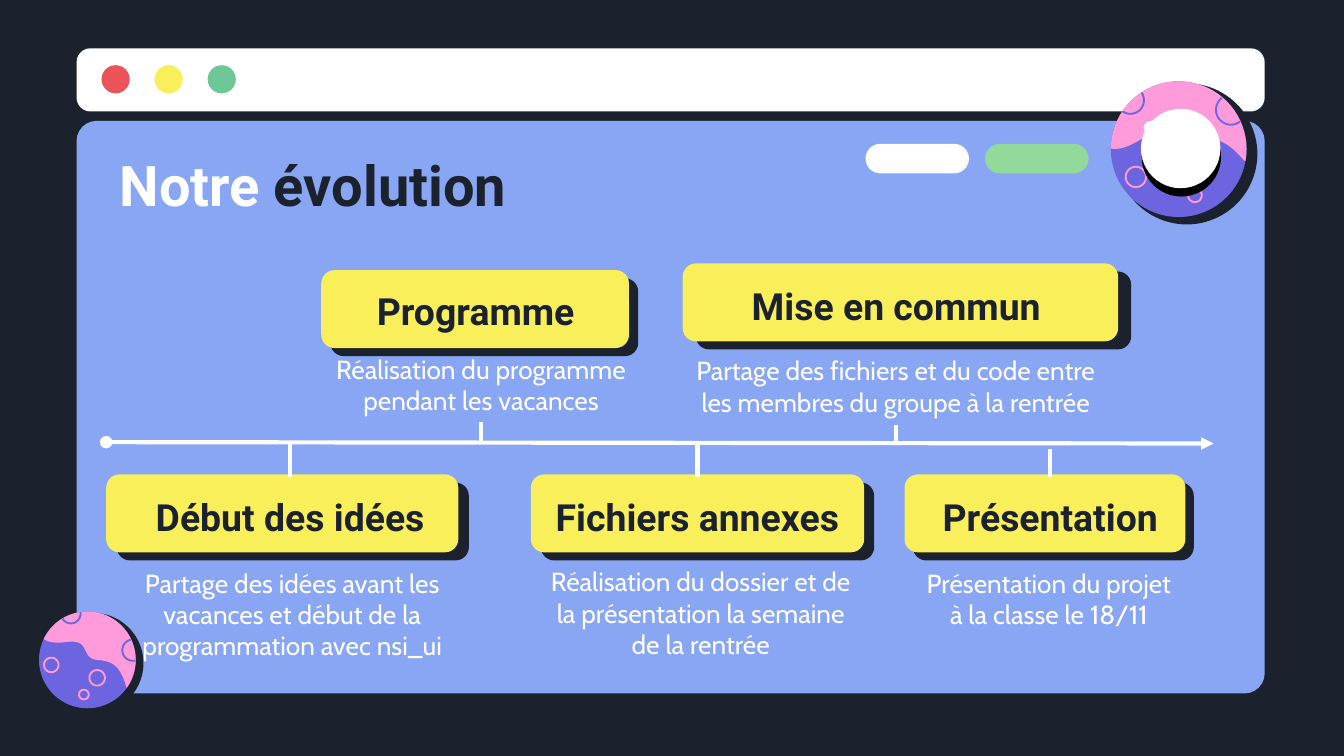
from math import atan2, cos, radians, sin

from lxml import etree
from pptx import Presentation
from pptx.dml.color import RGBColor
from pptx.enum.shapes import MSO_CONNECTOR as CONN, MSO_SHAPE as SHAPE
from pptx.enum.text import MSO_ANCHOR as ANCHOR, MSO_AUTO_SIZE as AUTO, PP_ALIGN as ALIGN
from pptx.oxml.ns import qn
from pptx.util import Inches, Pt

COLS = 10
ROWS = COLS * 9 / 16
NAVY, WHITE, BLUE, YELLOW = "1B222D", "FFFFFF", "88A6F3", "F8EF5B"
RED, GREEN, LIME, PURPLE, PINK = "EB5358", "6DC797", "92D99C", "6D65E0", "FF9BDA"
CARD_H, AXIS_Y = 0.58, 3.29

STEPS = [
    ("Présentation", "Présentation du projet à la classe le 18/11",
     (6.73, 3.53, 2.09), (6.77, 3.55, 2.09), (6.75, 4.12, 2.11, 0.83), 3.34),
    ("Fichiers annexes",
     "Réalisation du dossier et de la présentation la semaine de la rentrée",
     (3.95, 3.53, 2.48), (3.88, 3.55, 2.62), (3.95, 4.11, 2.53, 0.83), AXIS_Y),
    ("Début des idées",
     "Partage des idées avant les vacances et début de la programmation avec nsi_ui",
     (0.79, 3.53, 2.62), (0.84, 3.55, 2.64), (0.95, 4.12, 2.45, 0.83), 3.3),
    ("Programme", "Réalisation du programme pendant les vacances",
     (2.39, 2.01, 2.29), (2.51, 2.02, 2.06), (2.4, 2.53, 2.36, 0.61), AXIS_Y),
    ("Mise en commun",
     "Partage des fichiers et du code entre les membres du groupe à la rentrée",
     (5.08, 1.96, 3.24), (5.05, 1.98, 3.24), (5.02, 2.54, 3.29, 0.62), AXIS_Y),
]

WAVE = [
    ((0.97, 0.17), (0.69, -0.15), (0.51, -0.21), (0.2, -0.09)),
    ((0.2, -0.09), (-0.16, 0.05), (-0.1, -0.45), (-0.55, -0.15)),
    ((-0.55, -0.15), (-0.77, -0.01), (-0.91, 0.01), (-1, -0.01)),
]
CRATERS = [
    (-0.71, -0.72, 0.2, PURPLE), (0.77, -0.58, 0.22, PURPLE),
    (-0.63, 0.41, 0.15, PINK), (0.34, 0.25, 0.16, PINK), (0.24, 0.68, 0.1, PINK),
]


def rgb(color):
    """Turn a hex string into a colour."""
    return RGBColor.from_string(color)


def bezier(a, b, c, d, n=12):
    """Return points along a cubic curve."""
    return [tuple((1 - t) ** 3 * p + 3 * (1 - t) ** 2 * t * q
                  + 3 * (1 - t) * t ** 2 * u + t ** 3 * v
                  for p, q, u, v in zip(a, b, c, d))
            for t in (i / n for i in range(n + 1))]


class Deck:
    """Hold the style and the current slide, measured in grid columns and rows."""

    def __init__(self):
        """Open a title-only slide on a dark background."""
        self.prs = Presentation()
        self.prs.slide_width, self.prs.slide_height = Inches(COLS), Inches(ROWS)
        self.col, self.row = self.prs.slide_width / COLS, self.prs.slide_height / ROWS
        self.s = self.prs.slides.add_slide(self.prs.slide_layouts[5])
        self.s.background.fill.solid()
        self.s.background.fill.fore_color.rgb = rgb(NAVY)

    def x(self, cols):
        """Convert columns to a length."""
        return round(cols * self.col)

    def y(self, rows):
        """Convert rows to a length."""
        return round(rows * self.row)

    def box(self, x, y, w, h):
        """Convert a grid box to lengths."""
        return self.x(x), self.y(y), self.x(w), self.y(h)

    def shape(self, kind, at, color, adj=None):
        """Add a plain filled shape."""
        sp = self.s.shapes.add_shape(kind, *self.box(*at))
        sp.shadow.inherit = False
        sp.fill.solid()
        sp.fill.fore_color.rgb = rgb(color)
        sp.line.fill.background()
        if adj is not None:
            sp.adjustments[0] = adj
        return sp

    def disc(self, cx, cy, r, color):
        """Add a filled circle around a centre."""
        return self.shape(SHAPE.OVAL, (cx - r, cy - r, 2 * r, 2 * r), color)

    def outline(self, points, fill=None, line=None):
        """Add a filled area or an open stroke through points."""
        pts = [(self.x(x), self.y(y)) for x, y in points]
        fb = self.s.shapes.build_freeform(*pts[0])
        fb.add_line_segments(pts[1:], close=fill is not None)
        sp = fb.convert_to_shape()
        sp.shadow.inherit = False
        if fill:
            sp.fill.solid()
            sp.fill.fore_color.rgb = rgb(fill)
            sp.line.fill.background()
        else:
            sp.fill.background()
            sp.line.color.rgb = rgb(line)
            sp.line.width = Pt(1)

    def planet(self, cx, cy, r, turn):
        """Add a cratered planet turned by some degrees, with its hard shadow."""
        ct, st = cos(radians(turn)), sin(radians(turn))

        def place(points):
            return [(cx + r * (x * ct - y * st), cy + r * (x * st + y * ct))
                    for x, y in points]

        self.disc(cx + 0.12 * r, cy + 0.07 * r, 1.04 * r, NAVY)
        self.disc(cx, cy, r, PURPLE)
        arc = [(cos(radians(a)), sin(radians(a))) for a in range(180, 371, 5)]
        self.outline(place(arc + [p for c in WAVE for p in bezier(*c)]), fill=PINK)
        for x, y, cr, color in CRATERS:
            start = atan2(y, x)
            ring = [(x + cr * cos(start + radians(a)), y + cr * sin(start + radians(a)))
                    for a in range(0, 361, 10)]
            self.outline(place([p for p in ring if p[0] ** 2 + p[1] ** 2 <= 1]), line=color)

    def font(self, r, name, size, color, bold=False):
        """Format a run."""
        r.font.name, r.font.size, r.font.bold = name, Pt(size), bold
        r.font.color.rgb = rgb(color)

    def frame(self, sp, anchor):
        """Give a text frame its wrap, anchor and insets."""
        tf = sp.text_frame
        tf.word_wrap, tf.auto_size, tf.vertical_anchor = True, AUTO.NONE, anchor
        tf.margin_left = tf.margin_right = tf.margin_top = tf.margin_bottom = Inches(0.1)
        return tf

    def title(self, at, parts):
        """Move the title to the front and fill it with coloured parts."""
        sp = self.s.shapes.title
        self.s.shapes._spTree.append(sp._element)
        sp.left, sp.top, sp.width, sp.height = self.box(*at)
        p = self.frame(sp, ANCHOR.MIDDLE).paragraphs[0]
        p.alignment = ALIGN.LEFT
        for text, color in parts:
            r = p.add_run()
            r.text = text
            self.font(r, "Roboto", 30, color, True)

    def text(self, at, text, anchor, *style):
        """Add a centred text box."""
        sp = self.s.shapes.add_textbox(*self.box(*at))
        p = self.frame(sp, anchor).paragraphs[0]
        p.text, p.alignment = text, ALIGN.CENTER
        self.font(p.runs[0], *style)
        return sp

    def line(self, x1, y1, x2, y2, **ends):
        """Add a white line, with optional headEnd and tailEnd."""
        c = self.s.shapes.add_connector(
            CONN.STRAIGHT, self.x(x1), self.y(y1), self.x(x2), self.y(y2))
        c.line.color.rgb, c.line.width = rgb(WHITE), Pt(2.25)
        pr = c._element.spPr
        for tag, kind in ends.items():
            etree.SubElement(pr.find(qn("a:ln")), qn(f"a:{tag}"), type=kind)
        etree.SubElement(pr, qn("a:effectLst"))
        return c

    def hole(self, at):
        """Add the white disc with its hard black shadow."""
        sp = self.shape(SHAPE.OVAL, at, WHITE)
        sp.line.color.rgb, sp.line.width = rgb(WHITE), Pt(1.5)
        shadow = etree.SubElement(sp._element.spPr.find(qn("a:effectLst")), qn("a:outerShdw"),
                                  dist=str(Pt(4.5)), dir=str(85 * 60000), algn="bl",
                                  rotWithShape="0")
        etree.SubElement(shadow, qn("a:srgbClr"), val="000000")


def main():
    """Build the timeline slide."""
    d = Deck()
    d.shape(SHAPE.ROUNDED_RECTANGLE, (0.57, 0.9, 8.84, 4.26), BLUE, 0.035)
    d.shape(SHAPE.ROUNDED_RECTANGLE, (0.57, 0.36, 8.84, 0.47), WHITE, 0.22)
    for i, color in enumerate((RED, YELLOW, GREEN)):
        d.disc(0.86 + 0.395 * i, 0.59, 0.105, color)
    for x, color in ((6.44, WHITE), (7.33, LIME)):
        d.shape(SHAPE.ROUNDED_RECTANGLE, (x, 1.07, 0.77, 0.22), color, 0.5)
    d.planet(8.77, 1.11, 0.505, 0)
    d.planet(0.65, 4.91, 0.36, 25)

    for _, _, (x, y, w), _, _, _ in STEPS:
        for dx, dy, color in ((0.03 * w, 0.06, NAVY), (0, 0, YELLOW)):
            d.shape(SHAPE.ROUNDED_RECTANGLE, (x + dx, y + dy, w, CARD_H), color, 0.17)
    d.title((0.79, 1.06, 8.43, 0.62), (("Notre ", WHITE), ("évolution", NAVY)))
    d.line(0.79, AXIS_Y, 9.03, 3.3, headEnd="oval", tailEnd="triangle")

    for name, story, _, label_at, story_at, tick_y in STEPS:
        label = d.text((*label_at, CARD_H), name, ANCHOR.MIDDLE, "Roboto", 20, NAVY, True)
        note = d.text(story_at, story, ANCHOR.TOP, "Cabin", 14, WHITE)
        x, y, w = label_at if label_at[1] > AXIS_Y else story_at[:3]
        tick = d.line(x + w / 2, y, x + w / 2, tick_y)
        tick.begin_connect(*((label, 0) if y > AXIS_Y else (note, 2)))
    d.disc(8.56, 0.95, 0.05, WHITE)
    d.hole((8.5, 0.82, 0.57, 0.57))
    d.prs.save("out.pptx")


if __name__ == "__main__":
    main()
